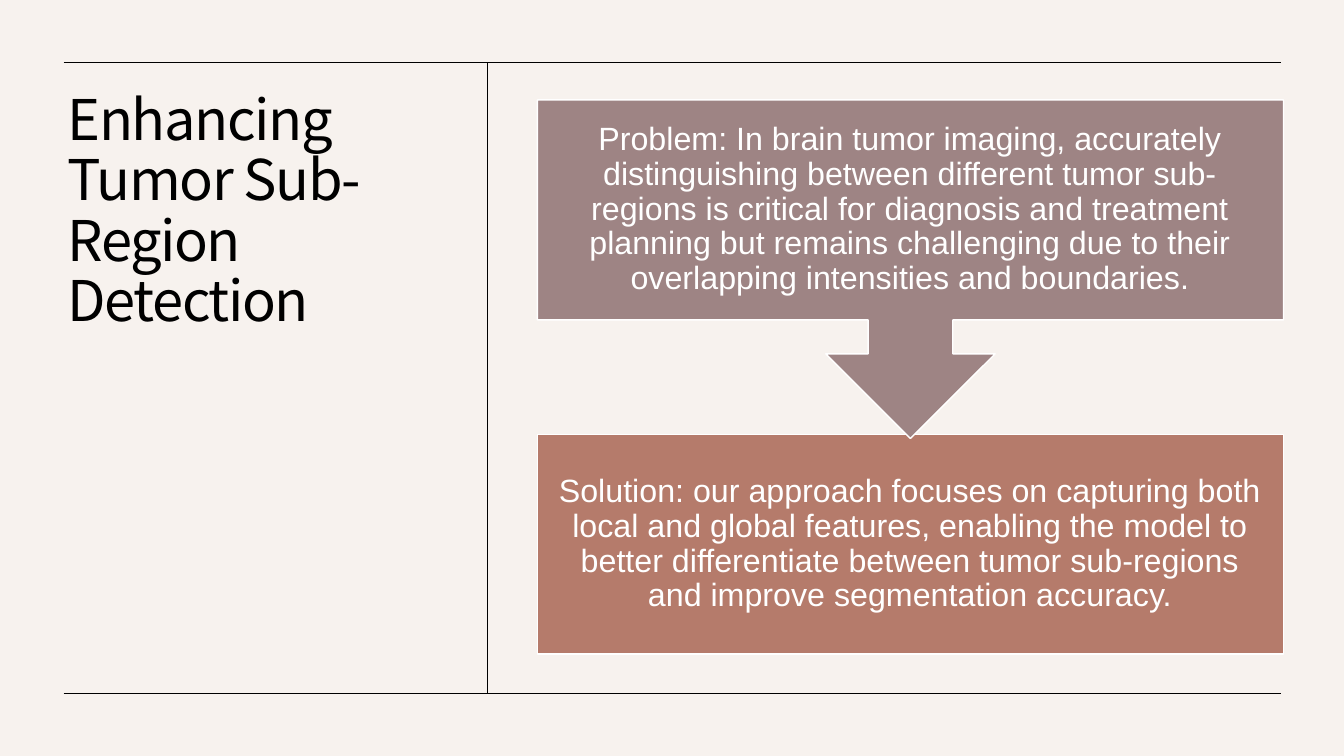
from dataclasses import dataclass

from lxml import etree
from pptx import Presentation
from pptx.dml.color import RGBColor
from pptx.enum.shapes import MSO_CONNECTOR, MSO_SHAPE
from pptx.enum.text import MSO_ANCHOR, MSO_AUTO_SIZE, PP_ALIGN
from pptx.oxml.ns import qn
from pptx.util import Inches, Pt

STRAIGHT = MSO_CONNECTOR.STRAIGHT
RECTANGLE = MSO_SHAPE.RECTANGLE
UP_ARROW_CALLOUT = MSO_SHAPE.UP_ARROW_CALLOUT
TOP, MIDDLE = MSO_ANCHOR.TOP, MSO_ANCHOR.MIDDLE
LEFT, CENTER = PP_ALIGN.LEFT, PP_ALIGN.CENTER
NO_AUTOFIT = MSO_AUTO_SIZE.NONE
TITLE_ONLY_LAYOUT = 5


@dataclass(frozen=True)
class Theme:
    background: RGBColor = RGBColor.from_string("F7F2EE")
    ink: RGBColor = RGBColor.from_string("000000")
    light: RGBColor = RGBColor.from_string("FFFFFF")
    problem: RGBColor = RGBColor.from_string("9E8484")
    solution: RGBColor = RGBColor.from_string("B57B6B")
    title_font: str = "Noto Sans CJK KR"
    body_font: str = "Arial"
    title_size: Pt = Pt(40)
    body_size: Pt = Pt(23)
    rule_width: Pt = Pt(0.5)
    outline_width: Pt = Pt(1)


THEME = Theme()

RULE_LEFT, RULE_RIGHT = 0.63, 12.71
RULE_TOP, RULE_BOTTOM = 0.62, 6.88
DIVIDER_X = 4.83

BOX_LEFT, BOX_WIDTH, BOX_HEIGHT = 5.33, 7.4, 2.18
PROBLEM_TOP, SOLUTION_TOP = 0.99, 4.31
CALLOUT_HEIGHT = 3.36
BOX_MARGIN = 0.18

TITLE = "Enhancing Tumor Sub-Region Detection"
PROBLEM = (
    "Problem: In brain tumor imaging, accurately distinguishing between "
    "different tumor sub-regions is critical for diagnosis and treatment "
    "planning but remains challenging due to their overlapping intensities "
    "and boundaries."
)
SOLUTION = (
    "Solution: our approach focuses on capturing both local and global "
    "features, enabling the model to better differentiate between tumor "
    "sub-regions and improve segmentation accuracy."
)


def format_paragraph(paragraph, font_name, size, color, alignment):
    paragraph.alignment = alignment
    paragraph.line_spacing = 0.9
    paragraph.font.name = font_name
    paragraph.font.size = size
    paragraph.font.color.rgb = color


def set_title(slide):
    title = slide.shapes.title
    title.left, title.top = Inches(0.57), Inches(0.86)
    title.width, title.height = Inches(3.77), Inches(5.52)
    frame = title.text_frame
    frame.text = TITLE
    frame.word_wrap = True
    frame.auto_size = NO_AUTOFIT
    frame.vertical_anchor = TOP
    paragraph = frame.paragraphs[0]
    format_paragraph(paragraph, THEME.title_font, THEME.title_size, THEME.ink, LEFT)
    paragraph.runs[0].font._element.set("spc", "-100")


def add_rule(slide, start_x, start_y, end_x, end_y):
    rule = slide.shapes.add_connector(
        STRAIGHT, Inches(start_x), Inches(start_y), Inches(end_x), Inches(end_y)
    )
    rule.line.color.rgb = THEME.ink
    rule.line.width = THEME.rule_width
    etree.SubElement(rule._element.spPr, qn("a:effectLst"))


def add_panel(slide, preset, top, height, fill):
    panel = slide.shapes.add_shape(
        preset, Inches(BOX_LEFT), Inches(top), Inches(BOX_WIDTH), Inches(height)
    )
    panel.shadow.inherit = False
    panel.fill.solid()
    panel.fill.fore_color.rgb = fill
    panel.line.color.rgb = THEME.light
    panel.line.width = THEME.outline_width
    return panel


def write_statement(shape, text):
    frame = shape.text_frame
    frame.text = text
    frame.word_wrap = True
    frame.vertical_anchor = MIDDLE
    frame.margin_left = frame.margin_right = Inches(BOX_MARGIN)
    frame.margin_top = frame.margin_bottom = Inches(BOX_MARGIN)
    format_paragraph(
        frame.paragraphs[0], THEME.body_font, THEME.body_size, THEME.light, CENTER
    )


def add_solution(slide):
    panel = add_panel(slide, RECTANGLE, SOLUTION_TOP, BOX_HEIGHT, THEME.solution)
    write_statement(panel, SOLUTION)


def add_problem(slide):
    """Draw the callout pointing down, with upright text over its body."""
    callout = add_panel(
        slide, UP_ARROW_CALLOUT, PROBLEM_TOP, CALLOUT_HEIGHT, THEME.problem
    )
    callout.rotation = 180
    text_box = slide.shapes.add_textbox(
        Inches(BOX_LEFT), Inches(PROBLEM_TOP), Inches(BOX_WIDTH), Inches(BOX_HEIGHT)
    )
    write_statement(text_box, PROBLEM)


def main():
    presentation = Presentation()
    presentation.slide_width = Inches(13.33)
    presentation.slide_height = Inches(7.5)
    slide = presentation.slides.add_slide(presentation.slide_layouts[TITLE_ONLY_LAYOUT])
    slide.background.fill.solid()
    slide.background.fill.fore_color.rgb = THEME.background

    set_title(slide)
    for rule_y in (RULE_TOP, RULE_BOTTOM):
        add_rule(slide, RULE_LEFT, rule_y, RULE_RIGHT, rule_y)
    add_rule(slide, DIVIDER_X, RULE_TOP, DIVIDER_X, RULE_BOTTOM)
    add_solution(slide)
    add_problem(slide)
    presentation.save("out.pptx")


if __name__ == "__main__":
    main()
